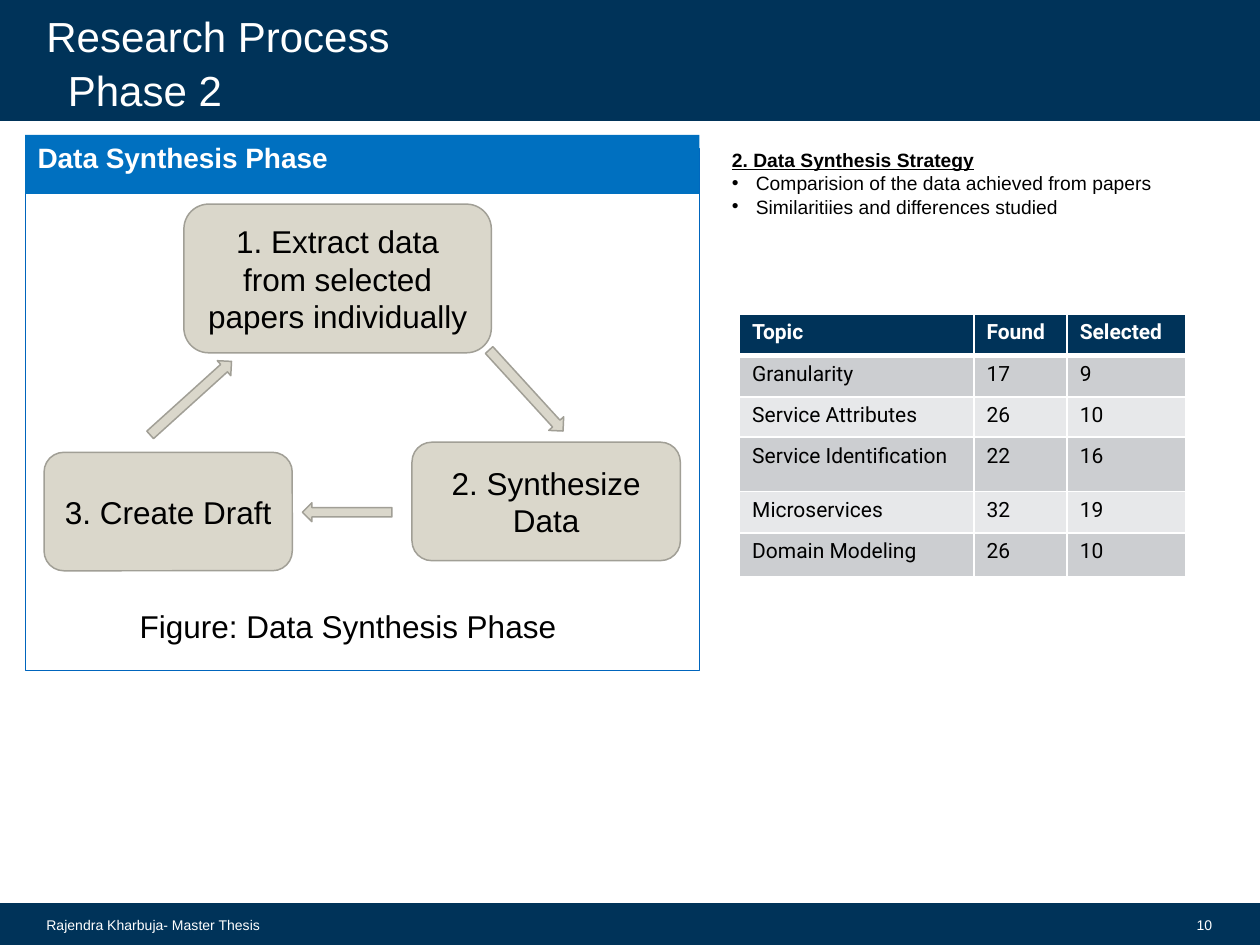
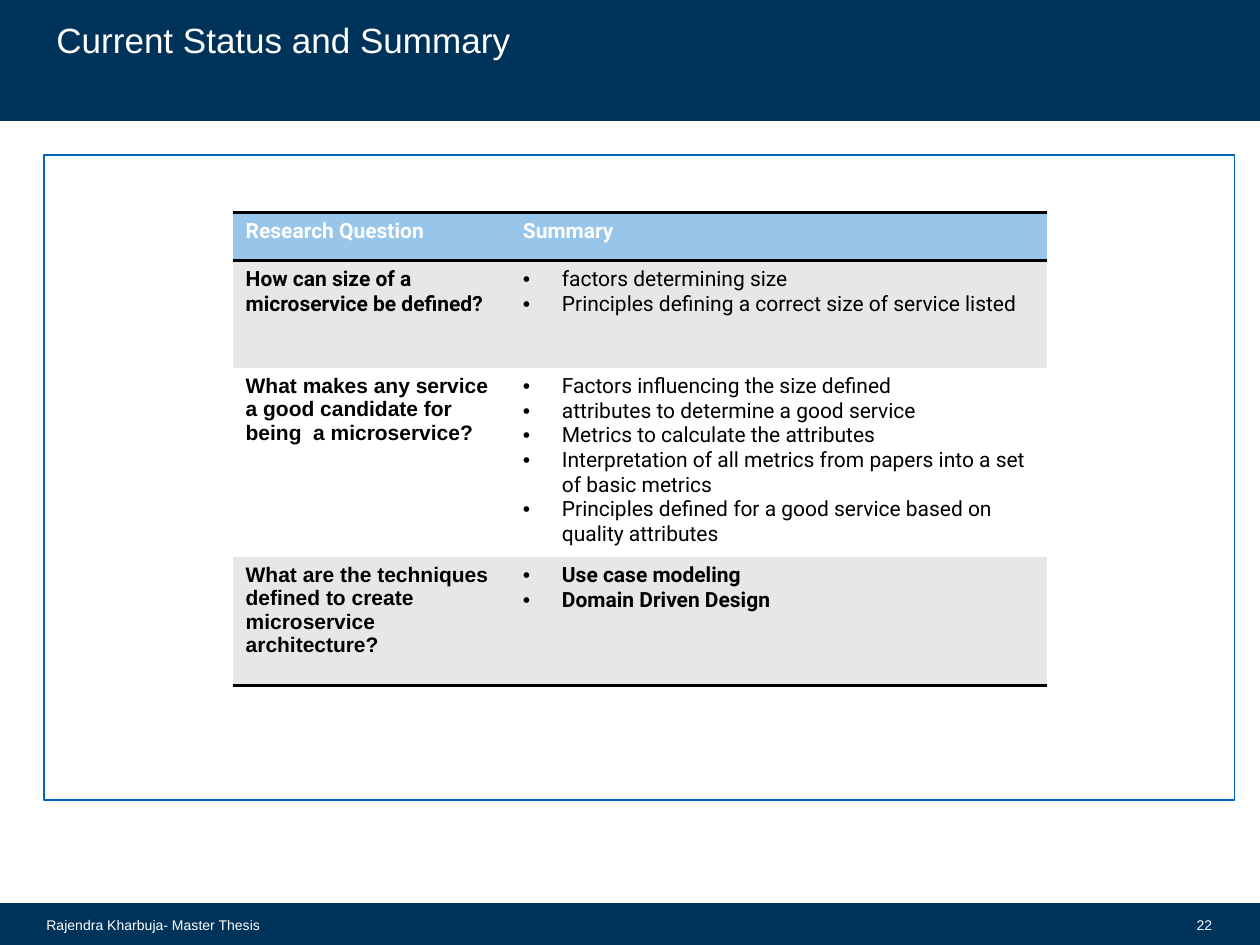
from pptx import Presentation
from pptx.dml.color import RGBColor as Rgb
from pptx.enum.shapes import MSO_SHAPE as Kind
from pptx.enum.text import MSO_ANCHOR as Anchor, PP_ALIGN as Align
from pptx.oxml.ns import qn
from pptx.util import Inches, Pt
from lxml.etree import SubElement as Sub

COLS, ROWS = 100, 75  # grid over the slide
HUES = {
    "navy": "003359", "blue": "0070C0", "edge": "0065BD", "sky": "98C6EA",
    "sand": "DAD7CB", "stone": "A19F96", "white": "FFFFFF", "black": "000000",
    "dark": "CCCED1", "light": "E7E8EA", "grey": "E7E7E7",
}
PLAIN = "{2D5ABB26-0587-4C30-8999-92F81FD0307C}"  # table style without grid


def hue(name):
    return Rgb.from_string(HUES[name])


def write(frame, text, **base):
    """Fill a text frame; text is a string or a list of strings and (string, format) pairs."""
    items = text if isinstance(text, list) else [text]
    for i, item in enumerate(items):
        words, extra = item if isinstance(item, tuple) else (item, {})
        fmt = {**base, **extra}
        para = frame.paragraphs[0] if i == 0 else frame.add_paragraph()
        para.alignment = fmt.get("align", Align.LEFT)
        if "before" in fmt:
            para.space_before = Pt(fmt["before"])
        if "dent" in fmt:
            props = para._p.get_or_add_pPr()
            dent = Inches(fmt["dent"])
            props.set("marL", str(dent))
            props.set("indent", str(-dent))
            Sub(props, qn("a:buFont"), typeface="Arial")
            Sub(props, qn("a:buChar"), char="•")
        run = para.add_run()
        run.text = words
        font = run.font
        font.name, font.size = fmt.get("face", "Arial"), Pt(fmt.get("size", 12))
        font.bold, font.underline = fmt.get("bold", False), fmt.get("under", False)
        font.color.rgb = hue(fmt.get("color", "black"))


def rule(cell, sides):
    """Draw cell borders; sides maps L, R, T, B to (colour, points)."""
    props = cell._tc.get_or_add_tcPr()
    for side in "LRTB":
        if side in sides:
            color, width = sides[side]
            line = Sub(props, qn("a:ln" + side), w=str(Pt(width)))
            Sub(Sub(line, qn("a:solidFill")), qn("a:srgbClr"), val=HUES[color])


class Deck:
    def __init__(self):
        self.prs = Presentation()
        self.prs.slide_width, self.prs.slide_height = Inches(10), Inches(7.5)
        self.page = None

    def place(self, x, y, w, h):
        dx, dy = self.prs.slide_width / COLS, self.prs.slide_height / ROWS
        return [round(v) for v in (x * dx, y * dy, w * dx, h * dy)]

    def shape(self, kind, at, fill=None, line=None, width=0.85, turn=0):
        part = self.page.shapes.add_shape(kind, *self.place(*at))
        part.shadow.inherit = False
        part.rotation = turn
        if fill:
            part.fill.solid()
            part.fill.fore_color.rgb = hue(fill)
        else:
            part.fill.background()
        if line:
            part.line.color.rgb = hue(line)
            part.line.width = Pt(width)
        else:
            part.line.fill.background()
        return part

    def label(self, at, text, anchor=Anchor.TOP, pad=0.05, **fmt):
        frame = self.page.shapes.add_textbox(*self.place(*at)).text_frame
        frame.word_wrap, frame.vertical_anchor = True, anchor
        frame.margin_top = frame.margin_bottom = Inches(pad)
        write(frame, text, **fmt)

    def title(self, x, y, text, size):
        self.label((x, y, 82.4, 3.9), text, Anchor.BOTTOM, pad=0,
                   size=size, color="white")

    def start(self, number):
        """Add a slide with its bands and footer."""
        self.page = self.prs.slides.add_slide(self.prs.slide_layouts[6])
        for y, h in ((71.8, 3.2), (0, 9.5)):
            self.shape(Kind.RECTANGLE, (0, y, COLS, h), "navy", "navy", 1.35)
        foot = dict(anchor=Anchor.MIDDLE, size=8, color="white")
        self.label((2.7, 71.8, 21.3, 3.2), "Rajendra Kharbuja- Master Thesis", **foot)
        self.label((91.2, 71.8, 6, 3.2), str(number), align=Align.RIGHT, **foot)

    def frame(self, *at):
        self.shape(Kind.RECTANGLE, at, line="edge", width=0.75)

    def step(self, at, text):
        box = self.shape(Kind.ROUNDED_RECTANGLE, at, "sand", "stone").text_frame
        box.word_wrap, box.vertical_anchor = True, Anchor.MIDDLE
        write(box, text, size=18, align=Align.CENTER)

    def arrow(self, at, turn):
        self.shape(Kind.RIGHT_ARROW, at, "sand", "stone", turn=turn)

    def table(self, x, y, wide, high, data, fills, sides):
        """fills holds one colour per row; sides(row) gives that row's borders."""
        at = self.place(x, y, sum(wide), sum(high))
        grid = self.page.shapes.add_table(len(high), len(wide), *at).table
        grid._tbl.tblPr[0].text = PLAIN
        for col, w in zip(grid.columns, wide):
            col.width = self.place(0, 0, w, 0)[2]
        for r, (row, h) in enumerate(zip(grid.rows, high)):
            row.height = self.place(0, 0, 0, h)[3]
            head = r == 0
            for cell, text in zip(row.cells, data[r]):
                rule(cell, sides(r))
                cell.fill.solid()
                cell.fill.fore_color.rgb = hue(fills[r])
                write(cell.text_frame, text, face="Roboto", bold=head,
                      color="white" if head else "black")


def bold(text, **fmt):
    return (text, {"bold": True, **fmt})


def points(*lines, **fmt):
    return [(line, {"dent": 0.31, **fmt}) for line in lines]


def phase(deck):
    deck.start(10)
    deck.title(2.7, 0.9, "Research Process", 24)
    deck.title(4.4, 5.2, "Phase 2", 24)

    # Cycle panel
    deck.frame(2, 11.8, 53.5, 41.4)
    bar = deck.shape(Kind.RECTANGLE, (2, 10.7, 53.5, 4.7), "blue").text_frame
    bar.vertical_anchor = Anchor.TOP
    write(bar, "Data Synthesis Phase", size=16, bold=True, color="white", before=3.2)
    deck.step((14.6, 16.2, 24.4, 11.8), "1. Extract data from selected papers individually")
    deck.step((32.7, 35.1, 21.3, 9.4), "2. Synthesize Data")
    deck.step((3.5, 35.9, 19.7, 9.4), "3. Create Draft")
    deck.arrow((37.4, 30.2, 8.7, 1.6), 47.6)
    deck.arrow((24, 39.9, 7.1, 1.5), 180)
    deck.arrow((10.8, 30.8, 8.7, 1.6), 317.9)
    deck.label((10.1, 47.7, 36.8, 4), "Figure: Data Synthesis Phase", size=18)

    # Strategy notes
    item = {"dent": 0.19}
    deck.label((57.1, 11.3, 37.8, 10.3), [
        bold("2. Data Synthesis Strategy", under=True),
        ("Comparision of the data achieved from papers", item),
        ("Similaritiies and differences studied", item),
    ], size=11)

    # Paper counts
    data = [
        ("Topic", "Found", "Selected"),
        ("Granularity", "17", "9"),
        ("Service Attributes", "26", "10"),
        ("Service Identification", "22", "16"),
        ("Microservices", "32", "19"),
        ("Domain Modeling", "26", "10"),
    ]
    thin, thick = ("white", 1), ("white", 3)

    def sides(r):
        return {"L": thin, "R": thin, "T": thick if r == 1 else thin,
                "B": thick if r == 0 else thin}

    fills = ["navy"] + ["dark" if r % 2 else "light" for r in range(1, len(data))]
    deck.table(58.7, 24.9, (18.6, 7.4, 9.4), (3.3, 3.3, 3.2, 4.3, 3.3, 3.5),
               data, fills, sides)


def status(deck):
    deck.start(22)
    deck.title(3.5, 0.9, "Current Status and Summary", 20)

    # Questions and findings
    data = [
        ("Research Question", "Summary"),
        (
            [bold("How can size of a microservice be defined?")],
            points("factors determining size",
                   "Principles defining a correct size of service listed"),
        ),
        (
            [bold("What makes any service a good candidate for being  a microservice?",
                  face="Arial")],
            points("Factors influencing the size defined",
                   "attributes to determine a good service",
                   "Metrics to calculate the attributes",
                   "Interpretation of all metrics from papers into a set of basic metrics",
                   "Principles defined for a good service based on quality attributes"),
        ),
        (
            [bold("What are the techniques defined to create microservice architecture?",
                  face="Arial")],
            points("Use case modeling", "Domain Driven Design", bold=True),
        ),
    ]
    ink = ("black", 2)
    edges = {0: {"T": ink, "B": ink}, 3: {"B": ink}}
    deck.table(18.5, 16.9, (22, 42.6), (3.8, 8.5, 14.5, 10.2), data,
               ["sky", "grey", "white", "grey"], lambda r: edges.get(r, {}))
    deck.frame(3.5, 12.3, 94.5, 51.2)


def main():
    deck = Deck()
    phase(deck)
    status(deck)
    deck.prs.save("out.pptx")


if __name__ == "__main__":
    main()
